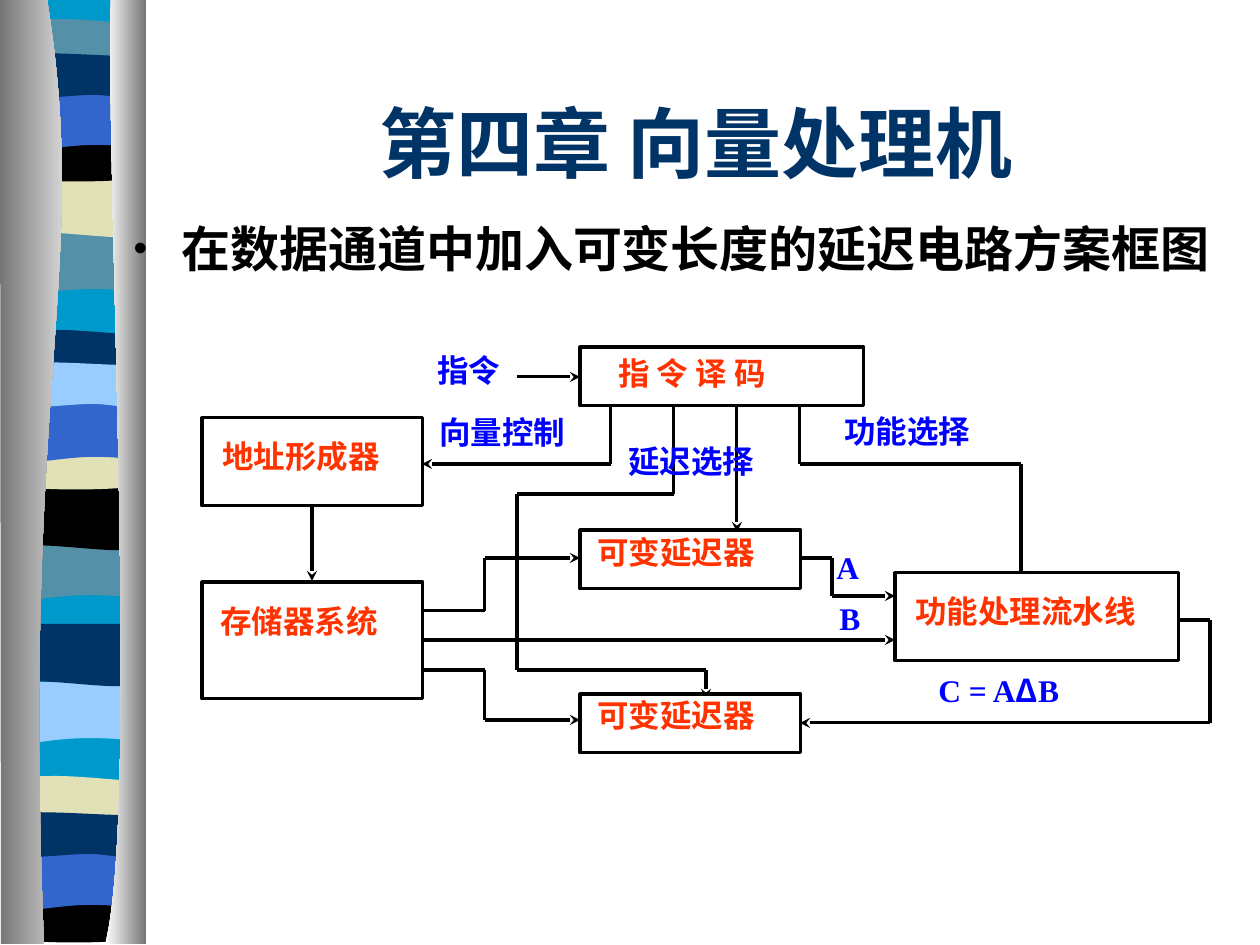
from itertools import pairwise

from lxml.etree import SubElement
from pptx import Presentation
from pptx.dml.color import RGBColor
from pptx.enum.shapes import MSO_CONNECTOR as CONN, MSO_SHAPE as SHAPE
from pptx.enum.text import MSO_ANCHOR as ANCHOR, PP_ALIGN as ALIGN
from pptx.oxml.ns import qn
from pptx.util import Pt

PX = 914400 / 126
SERIF, SANS, CJK = "Times New Roman", "Arial", "Noto Sans CJK SC"
BLACK, WHITE, GREY = "000000", "FFFFFF", "767676"
NAVY, CYAN, TEAL, ROYAL = "003366", "0099CC", "5490A8", "3366CC"
SAND, SKY = "E1E1B7", "99CCFF"
RED, BLUE = "FF3300", "0000FF"

TITLE = "第四章 向量处理机"
BULLET = "在数据通道中加入可变长度的延迟电路方案框图"

# Outlines: a start point, then segments of one point (line) or three (curve)
RIBBON = [(144, -1), [(144, 941)], [(11, 941)], [(11, -1)]]
PANELS = [
    ([(47, -1), [(91, 272), (21, 373), (44, 944)], [(1, 944)], [(0, -1)]],
     (GREY, WHITE)),
    ([(111, -1), [(105, 158), (140, 819), (105, 944)], [(146, 944)], [(146, 0)]],
     (WHITE, GREY)),
]
# Band outlines, relative to each band's left and top
SWELL = [(133, 0), [(133, 59)], [(41, 49), (23, 69), (0, 59)], [(0, 0)]]
SWAY = [(133, 0), [(133, 59)], [(110, 69), (40, 52), (0, 59)], [(0, 0)]]
CREST = [(133, 5), [(133, 37)], [(110, 42), (21, 42), (0, 37)], [(0, 5)],
         [(8, 0), (29, 0), (50, 0)], [(73, 0), (116, 5), (133, 5)]]
SAG = [(133, 0), [(133, 41)], [(110, 47), (21, 47), (0, 41)], [(0, 0)],
       [(82, 6), (106, 0), (133, 0)]]
ARCH = [(133, 0), [(133, 60)], [(113, 53), (103, 53), (81, 53)],
        [(59, 53), (20, 60), (0, 60)], [(0, 0)]]
RIPPLE = [(133, 6), [(133, 45)], [(124, 52), (103, 45), (82, 45)],
          [(59, 45), (14, 52), (0, 45)], [(0, 6)],
          [(19, 0), (90, 6), (112, 6)], [(134, 6), (129, 6), (133, 6)]]
BANDS = [
    (SWELL, TEAL, 10, 233), (SWAY, SAND, 13, 175), (CREST, TEAL, 13, 19),
    (SAG, BLACK, 10, 136), (ARCH, ROYAL, 11, 92), (RIPPLE, NAVY, 11, 50),
    (SWELL, TEAL, 7, 539), (SWAY, BLACK, 9, 488), (CREST, NAVY, 10, 330),
    (SAG, SAND, 10, 444), (ARCH, ROYAL, 10, 404), (RIPPLE, SKY, 10, 359),
    (SWELL, SKY, 7, 682), (SWAY, NAVY, 8, 624), (CREST, SAND, 8, 776),
    (SAG, BLACK, 8, 897), (ARCH, ROYAL, 6, 852), (RIPPLE, NAVY, 6, 809),
]

# Boxes: x, y, width, height
BOXES = [
    (202, 582, 221, 117), (202, 418, 221, 88), (580, 347, 284, 59),
    (580, 530, 221, 59), (580, 694, 221, 59), (895, 573, 284, 88),
]
# Routes: corner points, arrowhead at the last one
ROUTES = [
    [(422, 640), (895, 640)],
    [(800, 558), (832, 558), (832, 596), (895, 596)],
    [(312, 506), (312, 581)],
    [(517, 377), (580, 377)],
    [(611, 406), (611, 464), (422, 464)],
    [(674, 406), (674, 494), (517, 494), (517, 670), (706, 670), (706, 699)],
    [(737, 406), (737, 532)],
    [(800, 406), (800, 464), (1021, 464), (1021, 581)],
    [(422, 611), (485, 611), (485, 558), (580, 558)],
    [(422, 670), (485, 670), (485, 720), (580, 720)],
    [(1178, 620), (1210, 620), (1210, 723), (800, 723)],
]
# Labels: text runs, x, y, width, height, colour, line spacing
LABELS = [
    (["存储器系统"], 208, 596, 220, 88, RED, 1.0),
    (["地址形成器"], 210, 416, 220, 88, RED, 1.4),
    (["功能选择"], 832, 391, 189, 81, BLUE, 1.4),
    (["向量控制"], 427, 392, 189, 81, BLUE, 1.4),
    (["指令"], 425, 330, 126, 81, BLUE, 1.4),
    (["指 令 译 码"], 606, 333, 252, 81, RED, 1.4),
    (["延迟选择"], 616, 421, 189, 81, BLUE, 1.4),
    (["可变延迟器"], 585, 512, 220, 88, RED, 1.4),
    (["可变延迟器"], 585, 675, 220, 88, RED, 1.4),
    (["功能处理流水线"], 903, 571, 283, 88, RED, 1.4),
    (["C = A", "Δ", "B"], 926, 653, 189, 81, BLUE, 1.3),
    (["A"], 824, 525, 94, 81, BLUE, 1.45),
    (["B"], 827, 576, 94, 81, BLUE, 1.45),
]


def emu(*lengths):
    return [round(v * PX) for v in lengths]


def rgb(value):
    return RGBColor.from_string(value)


def fill_solid(sp, color):
    sp.fill.solid()
    sp.fill.fore_color.rgb = rgb(color)


def style_run(r, size, font, color):
    r.font.size, r.font.bold, r.font.name = Pt(size), True, font
    r.font.color.rgb = rgb(color)
    SubElement(r.font._element, qn("a:ea"), typeface=CJK)


def add_outline(slide, outline, x=0, y=0):
    """Draw the outline, merging each three-point segment into a Bezier curve."""
    start, *segments = outline
    builder = slide.shapes.build_freeform(*emu(x + start[0], y + start[1]), scale=1.0)
    builder.add_line_segments(
        [emu(x + dx, y + dy) for segment in segments for dx, dy in segment])
    sp = builder.convert_to_shape()
    nodes = iter(list(sp._element.iter(qn("a:lnTo"))))
    for segment in segments:
        first, *others = [next(nodes) for _ in segment]
        if others:
            first.tag = qn("a:cubicBezTo")
        for node in others:
            first.append(node[0])
            node.getparent().remove(node)
    sp.shadow.inherit = False
    sp.line.fill.background()
    return sp


def add_ribbon(slide):
    fill_solid(add_outline(slide, RIBBON), CYAN)
    for outline, color, x, y in BANDS:
        fill_solid(add_outline(slide, outline, x, y), color)
    for outline, colors in PANELS:
        fill = add_outline(slide, outline).fill
        fill.gradient()
        fill.gradient_angle = 0
        for stop, color, position in zip(fill.gradient_stops, colors, (0, 1)):
            stop.color.rgb, stop.position = rgb(color), position


def fill_placeholder(sp, box, text, size, font, color):
    sp.left, sp.top, sp.width, sp.height = emu(*box)
    sp.text_frame.text = text
    p = sp.text_frame.paragraphs[0]
    p.space_before = Pt(0)
    style_run(p.runs[0], size, font, color)
    return p


def add_bullet(p):
    pPr = p._p.get_or_add_pPr()
    indent = emu(48)[0]
    pPr.set("marL", str(indent))
    pPr.set("indent", str(-indent))
    SubElement(SubElement(pPr, qn("a:buClr")), qn("a:srgbClr"), val=BLACK)
    SubElement(pPr, qn("a:buSzPct"), val="80000")
    SubElement(pPr, qn("a:buFont"), typeface=SANS)
    SubElement(pPr, qn("a:buChar"), char="•")


def add_route(slide, points):
    for start, end in pairwise(points):
        line = slide.shapes.add_connector(CONN.STRAIGHT, *emu(*start, *end))
        line.line.color.rgb, line.line.width = rgb(BLACK), Pt(1.75)
        SubElement(line._element.spPr, qn("a:effectLst"))
    SubElement(line.line._get_or_add_ln(), qn("a:tailEnd"), type="stealth")


def add_box(slide, box):
    sp = slide.shapes.add_shape(SHAPE.RECTANGLE, *emu(*box))
    sp.shadow.inherit = False
    fill_solid(sp, WHITE)
    sp.line.color.rgb, sp.line.width = rgb(BLACK), Pt(1.75)


def add_label(slide, texts, x, y, w, h, color, spacing):
    tf = slide.shapes.add_textbox(*emu(x, y, w, h)).text_frame
    tf.word_wrap = True
    p = tf.paragraphs[0]
    p.alignment, p.line_spacing = ALIGN.JUSTIFY, spacing
    for text in texts:
        r = p.add_run()
        r.text = text
        style_run(r, 18, CJK if text == "Δ" else SERIF, color)


def main():
    prs = Presentation()
    prs.slide_width, prs.slide_height = emu(1260, 945)
    slide = prs.slides.add_slide(prs.slide_layouts[1])
    title, body = slide.placeholders
    add_ribbon(slide)
    p = fill_placeholder(title, (161, 63, 1071, 158), TITLE, 44, CJK, NAVY)
    p.alignment = ALIGN.CENTER
    title.text_frame.vertical_anchor = ANCHOR.MIDDLE
    add_bullet(fill_placeholder(body, (121, 212, 1116, 112), BULLET, 28, SANS, BLACK))
    for sp in (title, body):
        slide.shapes._spTree.append(sp._element)
    for route in ROUTES:
        add_route(slide, route)
    for box in BOXES:
        add_box(slide, box)
    for label in LABELS:
        add_label(slide, *label)
    prs.save("out.pptx")


if __name__ == "__main__":
    main()
